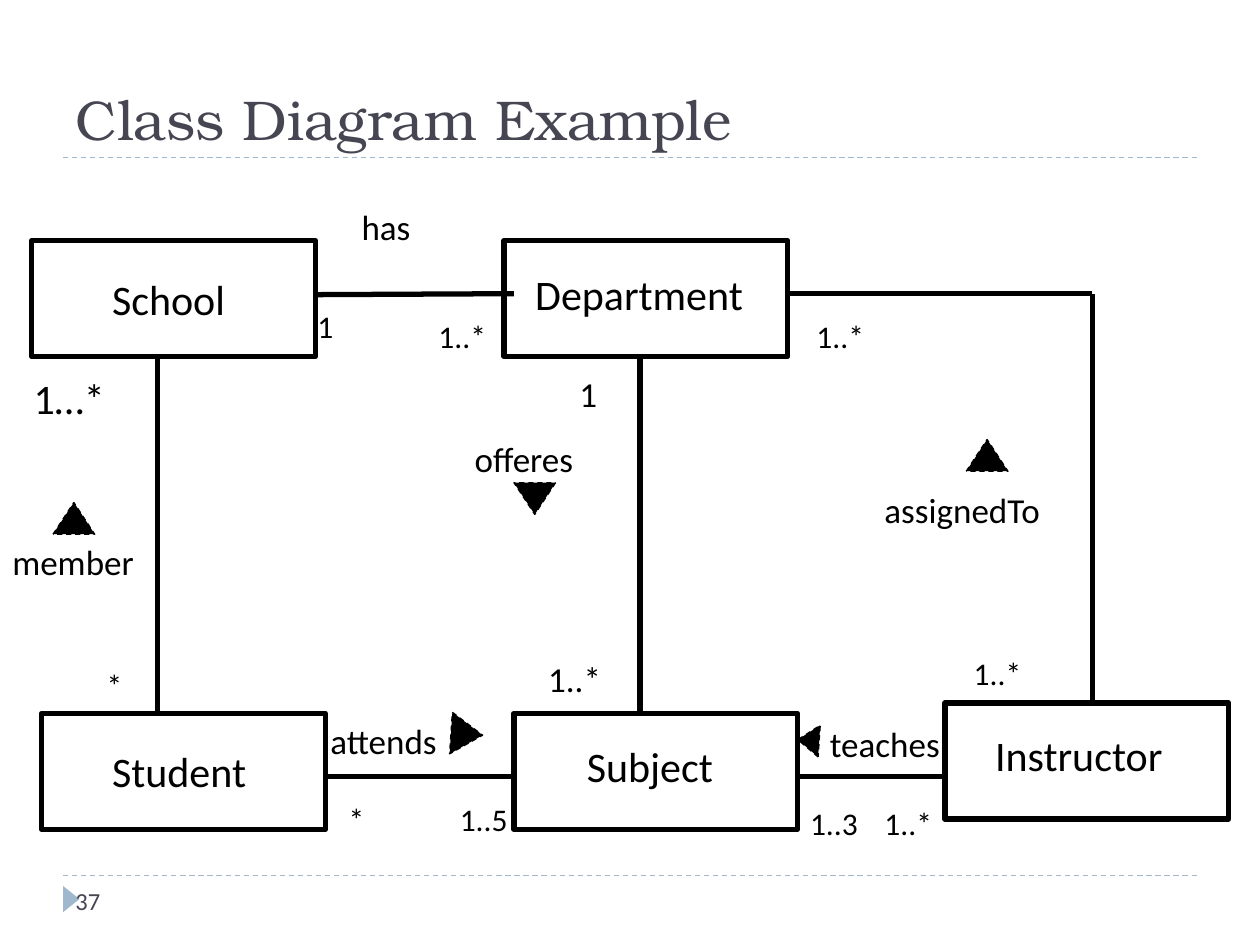
from dataclasses import dataclass

import pptx
import pptx.dml.color
import pptx.enum.dml
import pptx.enum.shapes
import pptx.enum.text
import pptx.oxml
import pptx.util
from pptx.util import Cm

SHAPE = pptx.enum.shapes.MSO_SHAPE
ANCHOR = pptx.enum.text.MSO_ANCHOR
DASH = pptx.enum.dml.MSO_LINE.DASH


@dataclass(frozen=True)
class Theme:
    ink: str = "000000"
    paper: str = "FFFFFF"
    heading: str = "464653"
    accent: str = "9FB8CD"
    title_font: str = "TeX Gyre Bonum"
    body_font: str = "Calibri"
    title: int = 32
    large: int = 24
    medium: int = 20
    small: int = 18
    footer: int = 14
    thick: float = 3
    thin: float = 0.75


THEME = Theme()
LABEL_HEIGHT = {THEME.large: 1.27, THEME.medium: 1.09, THEME.small: 0.94}
BOX_SIZE = (5.72, 2.34)

# name, box left, box top, text left, text top, text width
CLASSES = [
    ("School", 0.64, 4.85, 2.01, 5.38, 2.95),
    ("Department", 10.16, 4.85, 10.54, 5.28, 4.93),
    ("Student", 0.84, 14.38, 2.01, 14.91, 3.4),
    ("Subject", 10.36, 14.38, 11.58, 14.81, 3.28),
    ("Instructor", 19.05, 14.17, 19.81, 14.58, 4.17),
]
# x1, y1, x2, y2
ASSOCIATIONS = [
    (3.18, 7.19, 3.18, 14.38),
    (6.55, 15.65, 10.36, 15.65),
    (19.05, 15.65, 16.08, 15.65),
    (12.9, 14.38, 12.9, 7.19),
    (6.35, 5.94, 10.36, 5.92),
    (22.02, 14.17, 22.02, 5.92),
    (22.02, 5.92, 15.88, 5.92),
]
# text, left, top, width, type size
LABELS = [
    ("1…*", 0.43, 7.39, 2.13, THEME.large),
    ("*", 1.9, 13.31, 0.81, THEME.small),
    ("member", 0, 10.77, 3.07, THEME.medium),
    ("*", 6.78, 16, 0.81, THEME.small),
    ("1..5", 9.02, 16, 1.47, THEME.small),
    ("attends", 6.41, 14.38, 2.89, THEME.medium),
    ("1..3", 16.08, 16.08, 1.47, THEME.small),
    ("1..*", 17.58, 16.08, 1.47, THEME.small),
    ("teaches", 16.48, 14.45, 2.9, THEME.medium),
    ("1..*", 10.8, 13.13, 1.7, THEME.medium),
    ("1", 11.43, 7.39, 0.89, THEME.medium),
    ("1", 6.15, 6.07, 0.81, THEME.small),
    ("1..*", 8.59, 6.27, 1.47, THEME.small),
    ("has", 7.04, 4.01, 1.57, THEME.medium),
    ("1..*", 16.21, 6.27, 1.47, THEME.small),
    ("1..*", 19.38, 13.06, 1.47, THEME.small),
    ("assignedTo", 17.58, 9.73, 4.01, THEME.medium),
    ("offeres", 9.32, 8.69, 2.67, THEME.medium),
]
# left, top, width, height, rotation
DIRECTIONS = [
    (1.07, 10.13, 0.84, 0.64, 0),
    (8.99, 14.48, 0.84, 0.64, 93.8),
    (15.98, 14.71, 0.64, 0.43, 273.8),
    (19.48, 8.86, 0.84, 0.64, 0),
    (10.36, 9.73, 0.84, 0.64, 180),
]


def rgb(value):
    return pptx.dml.color.RGBColor.from_string(value)


def apply(target, **values):
    for name, value in values.items():
        setattr(target, name, value)


def write(tf, text, size, color=THEME.ink, font=THEME.body_font):
    p = tf.paragraphs[0]
    p.alignment = pptx.enum.text.PP_ALIGN.LEFT
    r = p.add_run()
    r.text = text
    apply(r.font, name=font, size=pptx.util.Pt(size))
    r.font.color.rgb = rgb(color)


def add_line(s, ends, color, width, dash=None):
    sp = s.shapes.add_connector(
        pptx.enum.shapes.MSO_CONNECTOR.STRAIGHT, *map(Cm, ends))
    sp.line.color.rgb = rgb(color)
    apply(sp.line, width=pptx.util.Pt(width), dash_style=dash)
    effects = pptx.oxml.parse_xml(
        '<a:effectLst xmlns:a='
        '"http://schemas.openxmlformats.org/drawingml/2006/main"/>')
    sp._element.spPr.append(effects)


def add_solid(s, kind, box, fill, line=None, width=0, dash=None, rotation=0):
    sp = s.shapes.add_shape(kind, *map(Cm, box))
    sp.shadow.inherit = False
    sp.rotation = rotation
    sp.fill.solid()
    sp.fill.fore_color.rgb = rgb(fill)
    if line:
        sp.line.color.rgb = rgb(line)
        apply(sp.line, width=pptx.util.Pt(width), dash_style=dash)
    else:
        sp.line.fill.background()


def add_label(s, text, left, top, width, size):
    box = (left, top, width, LABEL_HEIGHT[size])
    tf = s.shapes.add_textbox(*map(Cm, box)).text_frame
    apply(tf, word_wrap=False,
          auto_size=pptx.enum.text.MSO_AUTO_SIZE.SHAPE_TO_FIT_TEXT)
    write(tf, text, size)


def add_class(s, name, left, top, text_left, text_top, text_width):
    add_solid(s, SHAPE.RECTANGLE, (left, top, *BOX_SIZE),
              THEME.paper, THEME.ink, THEME.thick)
    add_label(s, name, text_left, text_top, text_width, THEME.large)


def add_frame(s):
    """Title, dashed rules and page number."""
    for y in (17.65, 3.18):
        add_line(s, (1.27, y, 24.13, y), THEME.accent, THEME.thin, DASH)
    add_solid(s, SHAPE.ISOSCELES_TRIANGLE, (1.17, 17.96, 0.53, 0.33),
              THEME.accent, rotation=90)
    tf = s.shapes.add_textbox(Cm(1.27), Cm(17.65), Cm(5.92), Cm(1.02)).text_frame
    apply(tf, word_wrap=True, vertical_anchor=ANCHOR.MIDDLE)
    write(tf, "37", THEME.footer, THEME.heading)

    title = s.shapes.title
    apply(title, left=Cm(1.27), top=Cm(0.64), width=Cm(22.86), height=Cm(2.54))
    apply(title.text_frame, vertical_anchor=ANCHOR.BOTTOM,
          auto_size=pptx.enum.text.MSO_AUTO_SIZE.NONE)
    write(title.text_frame, "Class Diagram Example", THEME.title,
          THEME.heading, THEME.title_font)


def main():
    prs = pptx.Presentation()
    apply(prs, slide_width=Cm(25.4), slide_height=Cm(19.05))
    s = prs.slides.add_slide(prs.slide_layouts[5])
    add_frame(s)
    for entry in CLASSES:
        add_class(s, *entry)
    for ends in ASSOCIATIONS:
        add_line(s, ends, THEME.ink, THEME.thick)
    for label in LABELS:
        add_label(s, *label)
    for *box, rotation in DIRECTIONS:
        add_solid(s, SHAPE.ISOSCELES_TRIANGLE, box, THEME.ink,
                  THEME.ink, THEME.thin, DASH, rotation)
    prs.save("out.pptx")


if __name__ == "__main__":
    main()
